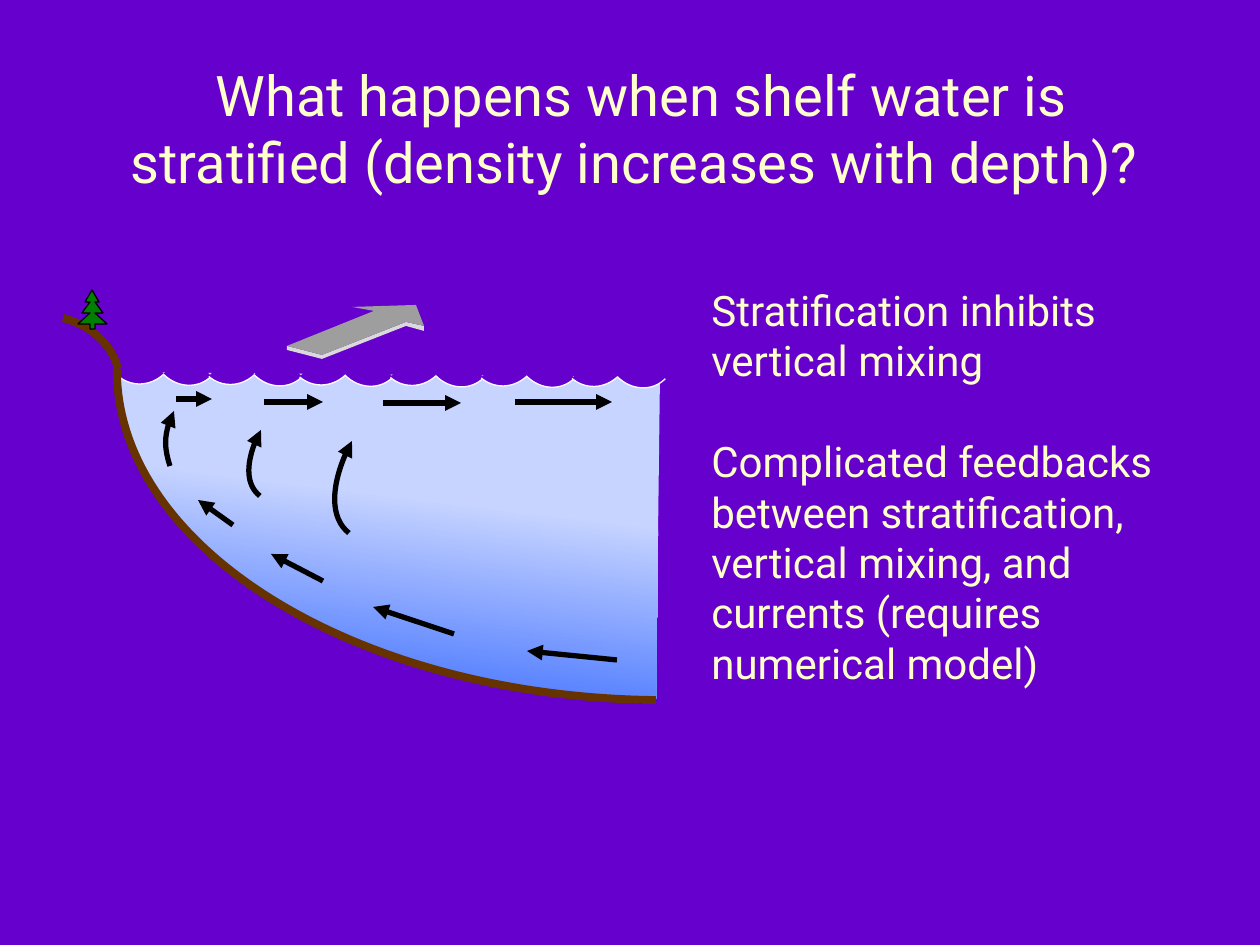
from copy import deepcopy
from typing import NamedTuple

from lxml.etree import SubElement
from pptx import Presentation
from pptx.dml.color import RGBColor
from pptx.enum.shapes import MSO_CONNECTOR
from pptx.enum.text import MSO_ANCHOR, PP_ALIGN
from pptx.oxml.ns import qn
from pptx.util import Emu, Pt

EMU_PER_PX = 914400 / 126
FONT = "Roboto"
COLORS = {
    "background": "6600CC",
    "text": "FFFFCC",
    "shallow": "C6D4FF",
    "deep": "3366FF",
    "foam": "FFFFFF",
    "flow": "000000",
    "seabed": "663300",
    "tree": "008000",
    "wind": "9E9E9E",
    "wind_edge": "DADADA",
}


class Point(NamedTuple):
    x: float
    y: float


class Curve(NamedTuple):
    start: Point
    control_1: Point
    control_2: Point
    end: Point


class Sector(NamedTuple):
    arc: Curve
    apex: Point


class Flow(NamedTuple):
    start: Point
    end: Point


OCEAN = Sector(
    Curve(Point(656, 703), Point(358, 699), Point(117, 552), Point(118, 372)),
    Point(660, 377),
)
SHELF = Curve(Point(656, 700), Point(357, 697), Point(116, 548), Point(117, 369))
SHORE = Curve(Point(63, 318), Point(93, 326), Point(113, 347), Point(118, 369))
UPWELLING = [
    Curve(Point(170, 466), Point(164, 447), Point(165, 427), Point(174, 411)),
    Curve(Point(260, 496), Point(246, 485), Point(246, 456), Point(261, 430)),
    Curve(Point(349, 533), Point(330, 518), Point(331, 479), Point(352, 441)),
]
CURRENTS = [
    Flow(Point(176, 399), Point(212, 399)),
    Flow(Point(264, 402), Point(323, 402)),
    Flow(Point(383, 403), Point(461, 403)),
    Flow(Point(515, 402), Point(612, 402)),
    Flow(Point(233, 525), Point(198, 500)),
    Flow(Point(323, 581), Point(271, 554)),
    Flow(Point(454, 634), Point(373, 607)),
    Flow(Point(617, 660), Point(527, 651)),
]
TREE = [
    Point(78, 324), Point(90, 324), Point(90, 329), Point(95, 329), Point(95, 324),
    Point(107, 324), Point(95, 313), Point(103, 313), Point(95, 302), Point(99, 302),
    Point(92, 290), Point(85, 302), Point(90, 302), Point(82, 313), Point(90, 313),
]
WIND_TOP = [
    Point(287, 346), Point(374, 311), Point(352, 307), Point(416, 305),
    Point(424, 326), Point(406, 322), Point(322, 355),
]
WIND_SIDE = [
    Point(287, 346), Point(322, 355), Point(406, 322), Point(424, 326),
    Point(424, 331), Point(406, 326), Point(322, 359), Point(287, 350),
]
WAVE_COUNT = 12
WAVE_PITCH = 45.4
WAVES = [
    Sector(Curve(Point(46, 0), Point(32, 13), Point(13, 13), Point(0, 2)), Point(23, -24)),
    Sector(Curve(Point(48, 2), Point(35, 15), Point(14, 14), Point(0, 0)), Point(23, -23)),
]


def px(length: float) -> Emu:
    return Emu(round(length * EMU_PER_PX))


def rgb(name: str) -> RGBColor:
    return RGBColor.from_string(COLORS[name])


def add_arrowhead(shape) -> None:
    outline = shape._element.spPr.find(qn("a:ln"))
    SubElement(outline, qn("a:tailEnd"), type="triangle")


def draw_outline(slide, points: list[Point], *, fill: str | None = None,
                 line: str | None = None, width: float = 0.75, closed: bool = True):
    builder = slide.shapes.build_freeform(
        round(points[0].x * 10), round(points[0].y * 10), scale=EMU_PER_PX / 10
    )
    builder.add_line_segments(
        [(round(p.x * 10), round(p.y * 10)) for p in points[1:]], close=closed
    )
    shape = builder.convert_to_shape()
    shape.shadow.inherit = False
    if fill:
        shape.fill.solid()
        shape.fill.fore_color.rgb = rgb(fill)
    else:
        shape.fill.background()
    if line:
        shape.line.color.rgb = rgb(line)
        shape.line.width = Pt(width)
    else:
        shape.line.fill.background()
    return shape


def bend(shape):
    contour = shape._element.spPr.find(".//" + qn("a:path"))
    segments = contour.findall(qn("a:lnTo"))[:3]
    bezier = SubElement(contour, qn("a:cubicBezTo"))
    contour.insert(1, bezier)
    for segment in segments:
        bezier.append(segment[0])
        contour.remove(segment)
    return contour


def draw_curve(slide, curve: Curve, *, line: str, width: float, arrow: bool = False) -> None:
    shape = draw_outline(slide, list(curve), line=line, width=width, closed=False)
    bend(shape)
    if arrow:
        add_arrowhead(shape)


def draw_sector(slide, sector: Sector, *, fill: str, line: str):
    shape = draw_outline(slide, [*sector.arc, sector.apex], fill=fill, line=line)
    area = bend(shape)
    edge = deepcopy(area)
    for extra in edge[2:]:
        edge.remove(extra)
    edge.set("fill", "none")
    area.set("stroke", "0")
    area.addprevious(edge)
    return shape


def draw_flow(slide, flow: Flow) -> None:
    connector = slide.shapes.add_connector(
        MSO_CONNECTOR.STRAIGHT, *(px(v) for point in flow for v in point)
    )
    connector.line.color.rgb = rgb("flow")
    connector.line.width = Pt(3)
    add_arrowhead(connector)
    SubElement(connector._element.spPr, qn("a:effectLst"))


def draw_ocean(slide) -> None:
    ocean = draw_sector(slide, OCEAN, fill="shallow", line="flow")
    ocean.fill.gradient()
    ocean.fill.gradient_angle = 263
    shallow, deep = ocean.fill.gradient_stops
    shallow.position, shallow.color.rgb = 0.39, rgb("shallow")
    deep.position, deep.color.rgb = 1, rgb("deep")


def draw_waves(slide) -> None:
    for index in range(WAVE_COUNT):
        left = 118 + index * WAVE_PITCH
        top = 374 + index * 0.25
        arc, apex = WAVES[index % 2]
        wave = Sector(
            Curve(*(Point(left + p.x, top + p.y) for p in arc)),
            Point(left + apex.x, top + apex.y),
        )
        draw_sector(slide, wave, fill="background", line="foam")


def write(paragraph, text: str, *, size: int, align: PP_ALIGN = PP_ALIGN.LEFT,
          before: int = 0) -> None:
    paragraph.alignment = align
    if before:
        paragraph.space_before = Pt(before)
    run = paragraph.add_run()
    run.text = text
    run.font.name = FONT
    run.font.size = Pt(size)
    run.font.color.rgb = rgb("text")


def main() -> None:
    deck = Presentation()
    deck.slide_width, deck.slide_height = px(1260), px(945)
    slide = deck.slides.add_slide(deck.slide_layouts[5])
    slide.background.fill.solid()
    slide.background.fill.fore_color.rgb = rgb("background")

    title = slide.shapes.title
    title.left, title.top, title.width, title.height = px(106), px(49), px(1071), px(158)
    title.text_frame.vertical_anchor = MSO_ANCHOR.MIDDLE
    question = "What happens when shelf water is stratified (density increases with depth)? "
    write(title.text_frame.paragraphs[0], question, size=32, align=PP_ALIGN.CENTER)

    draw_ocean(slide)
    draw_waves(slide)
    for ground in (SHELF, SHORE):
        draw_curve(slide, ground, line="seabed", width=4.5)
    draw_outline(slide, TREE, fill="tree", line="flow")
    draw_outline(slide, WIND_SIDE, fill="wind_edge")
    draw_outline(slide, WIND_TOP, fill="wind")
    for current in CURRENTS:
        draw_flow(slide, current)
    for rise in UPWELLING:
        draw_curve(slide, rise, line="flow", width=3, arrow=True)

    notes = slide.shapes.add_textbox(px(699), px(278), px(534), px(420)).text_frame
    notes.word_wrap = True
    write(notes.paragraphs[0], "Stratification inhibits vertical mixing", size=24)
    feedbacks = [
        ("Complicated feedbacks between stratification,", 29),
        ("vertical mixing, and", 0),
        ("currents (requires numerical model)", 0),
    ]
    for text, gap in feedbacks:
        write(notes.add_paragraph(), text, size=24, before=gap)

    deck.save("out.pptx")


if __name__ == "__main__":
    main()
